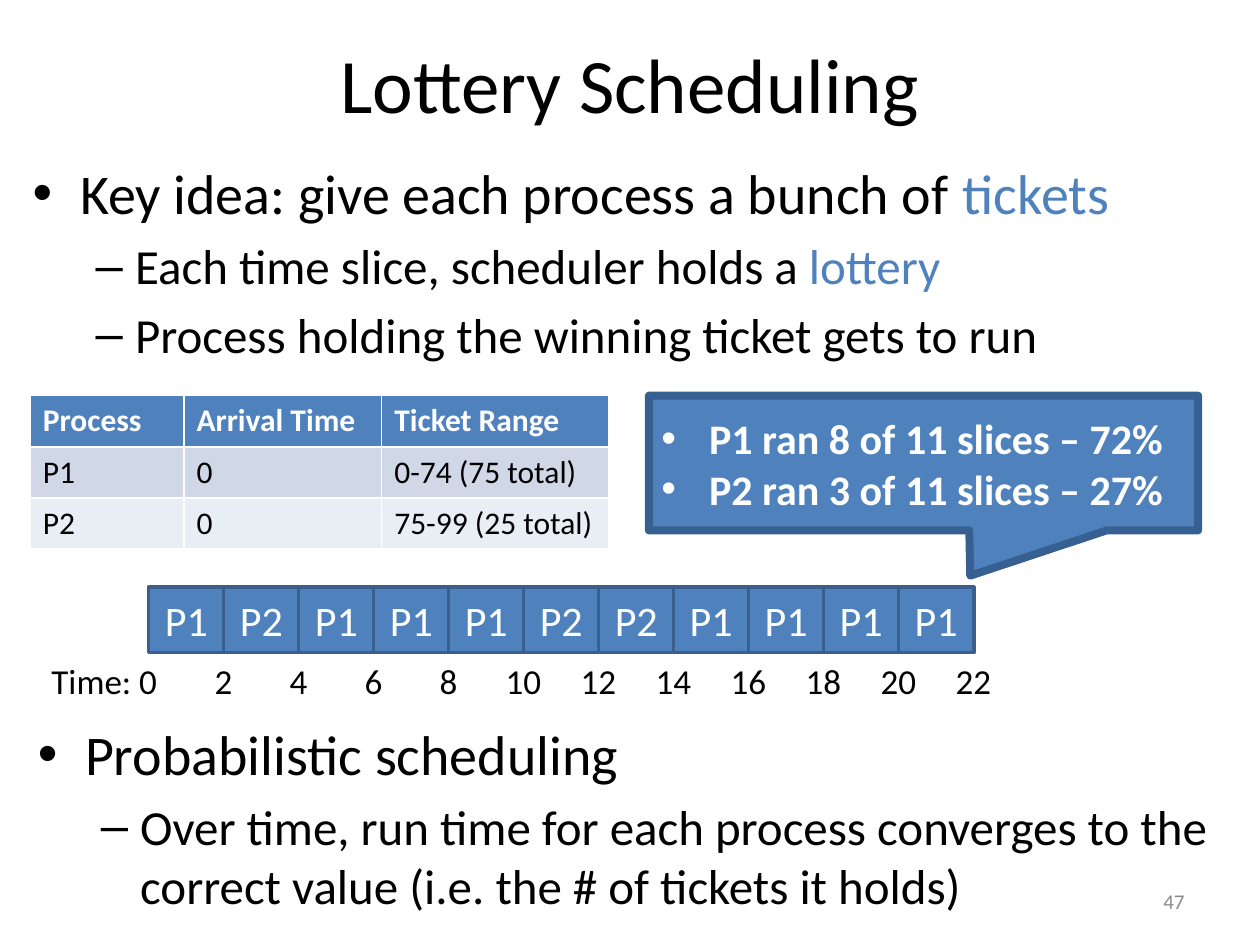
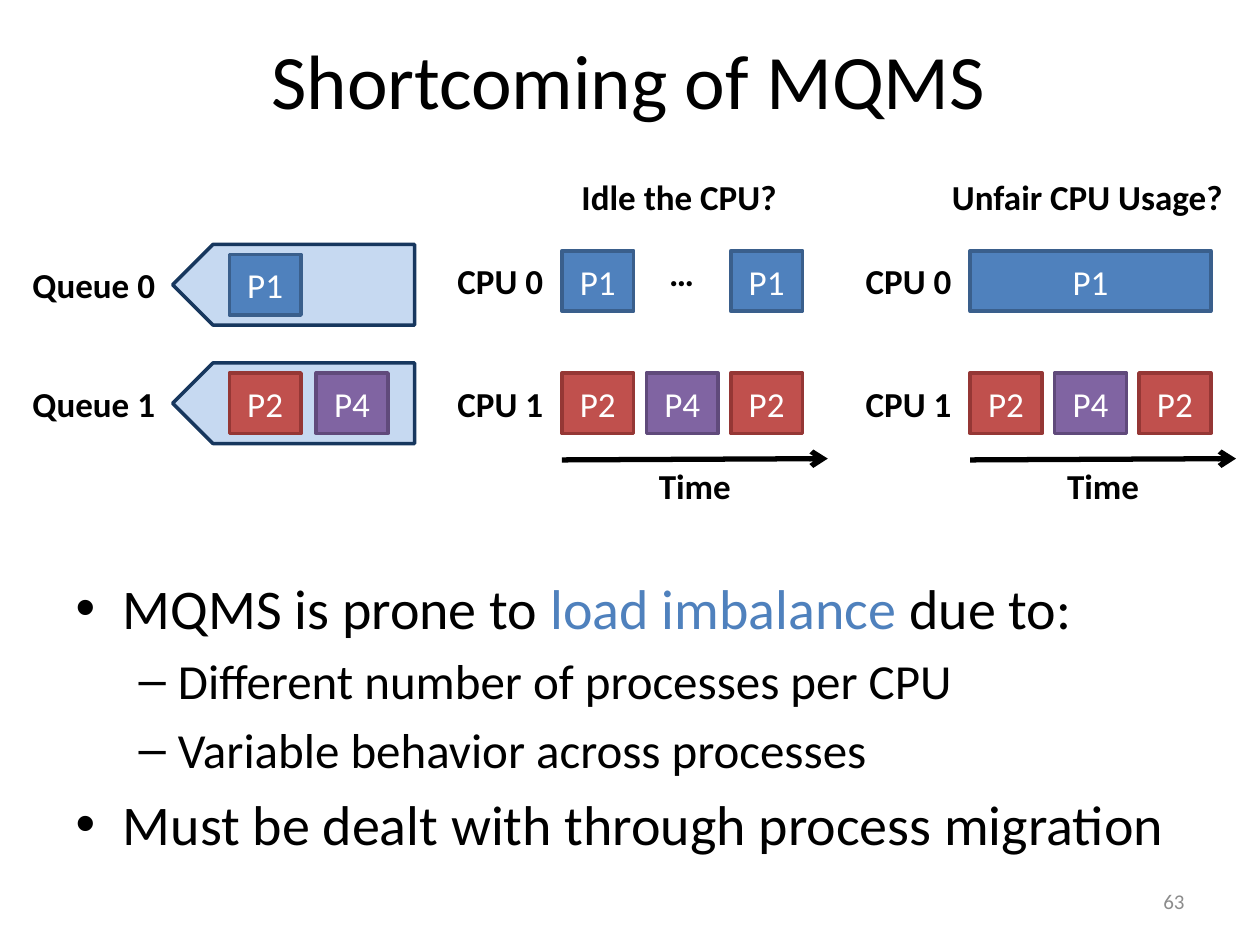
from lxml.etree import SubElement as Sub
from pptx import Presentation
from pptx.dml.color import RGBColor
from pptx.enum.shapes import MSO_CONNECTOR as Link, MSO_SHAPE as Shape
from pptx.enum.text import MSO_ANCHOR as Anchor, MSO_AUTO_SIZE as Fit, PP_ALIGN as Align
from pptx.oxml.ns import qn
from pptx.util import Inches, Pt

FONT = "Calibri"
BLACK = RGBColor(0x00, 0x00, 0x00)
WHITE = RGBColor(0xFF, 0xFF, 0xFF)
GREY = RGBColor(0x8C, 0x8C, 0x8C)
BLUE = RGBColor(0x4F, 0x81, 0xBD)
NAVY = RGBColor(0x3A, 0x5F, 0x8C)
STEEL = RGBColor(0x37, 0x60, 0x92)
RED = RGBColor(0xC0, 0x50, 0x4D)
WINE = RGBColor(0x95, 0x37, 0x35)
PURPLE = RGBColor(0x80, 0x64, 0xA2)
PLUM = RGBColor(0x60, 0x4A, 0x7B)
PALE = RGBColor(0xC6, 0xD9, 0xF1)
INK = RGBColor(0x17, 0x37, 0x5E)
BANDS = [BLUE, RGBColor(0xD0, 0xD8, 0xE8), RGBColor(0xE9, 0xED, 0xF4)]
TINTS = {"P1": (BLUE, NAVY), "P2": (RED, WINE), "P4": (PURPLE, PLUM)}


def inch(*sizes):
    """Turn plain numbers into lengths."""
    return [Inches(size) for size in sizes]


def style(para, size, color=BLACK, bold=False, align=None):
    """Set the font and alignment of a paragraph."""
    font = para.font
    font.name, font.size, font.bold = FONT, Pt(size), bold
    font.color.rgb = color
    if align is not None:
        para.alignment = align


def place(shape, box):
    """Move a shape into a box."""
    shape.left, shape.top, shape.width, shape.height = inch(*box)


def label(slide, box, text, size=20, color=BLACK, bold=True, align=Align.CENTER):
    """Write one line of text that does not wrap."""
    frame = slide.shapes.add_textbox(*inch(*box)).text_frame
    frame.word_wrap = False
    frame.vertical_anchor = Anchor.MIDDLE
    frame.text = text
    style(frame.paragraphs[0], size, color, bold, align)


def block(slide, kind, box, fill, line, width=2):
    """Draw a filled shape with an outline."""
    shape = slide.shapes.add_shape(kind, *inch(*box))
    shape.shadow.inherit = False
    shape.fill.solid()
    shape.fill.fore_color.rgb = fill
    shape.line.color.rgb = line
    shape.line.width = Pt(width)
    return shape


def job(slide, box, name, tint, size=20):
    """Draw a rectangle that holds the name of a process."""
    frame = block(slide, Shape.RECTANGLE, box, *tint).text_frame
    frame.margin_left = frame.margin_right = 0
    frame.vertical_anchor = Anchor.MIDDLE
    frame.text = name
    style(frame.paragraphs[0], size, WHITE, align=Align.CENTER)


def bullets(body, box, items):
    """Fill a body placeholder with levelled items, where *stars* mark blue words."""
    place(body, box)
    frame = body.text_frame
    frame.auto_size = Fit.NONE
    for i, (level, text) in enumerate(items):
        para = frame.add_paragraph() if i else frame.paragraphs[0]
        para.level = level
        if i == 0:
            para.space_before = Pt(0)
        style(para, 28 if level else 32)
        for j, part in enumerate(text.split("*")):
            if part:
                run = para.add_run()
                run.text = part
                if j % 2:
                    run.font.color.rgb = BLUE


def start(deck, layout, title, box, number):
    """Add a slide with its title and page number."""
    slide = deck.slides.add_slide(deck.slide_layouts[layout])
    head = slide.shapes.title
    place(head, box)
    head.text_frame.text = title
    style(head.text_frame.paragraphs[0], 44, align=Align.CENTER)
    label(slide, (7.17, 6.95, 2.33, 0.4), number, 12, GREY, False, Align.RIGHT)
    return slide


def tickets(slide, box):
    """Add the table of ticket ranges."""
    rows = [("Process", "Arrival Time", "Ticket Range"),
            ("P1", "0", "0-74 (75 total)"),
            ("P2", "0", "75-99 (25 total)")]
    table = slide.shapes.add_table(3, 3, *inch(*box)).table
    for col, width in zip(table.columns, inch(1.22, 1.57, 1.8)):
        col.width = width
    for r, row in enumerate(rows):
        for c, text in enumerate(row):
            cell = table.cell(r, c)
            cell.text = text
            cell.fill.solid()
            cell.fill.fore_color.rgb = BANDS[r]
            style(cell.text_frame.paragraphs[0], 18, BLACK if r else WHITE, r == 0)


def callout(slide, box, lines):
    """Add the bubble with the shares of run time."""
    bubble = block(slide, Shape.RECTANGULAR_CALLOUT, box, BLUE, STEEL, 4.5)
    bubble.adjustments[0], bubble.adjustments[1] = 0.085, 0.836
    frame = bubble.text_frame
    frame.vertical_anchor = Anchor.MIDDLE
    for i, line in enumerate(lines):
        para = frame.add_paragraph() if i else frame.paragraphs[0]
        para.text = line
        props = para._p.get_or_add_pPr()
        props.set("marL", str(Inches(0.38)))
        props.set("indent", str(Inches(-0.38)))
        Sub(props, qn("a:buFont")).set("typeface", "Arial")
        Sub(props, qn("a:buChar")).set("char", "•")
        style(para, 24, WHITE, True, Align.LEFT)


def slices(slide, left, top, names):
    """Draw the time slices in a row with their ticks below."""
    step, low = 0.595, top + 0.52
    for i, name in enumerate(names):
        job(slide, (left + i * step, top, 0.6, 0.52), name, (BLUE, NAVY), 24)
        mid = left + (i + 1) * step
        label(slide, (mid - 0.25, low, 0.5, 0.44), str(2 * i + 2), bold=False)
    label(slide, (left - 0.87, low, 1.05, 0.44), "Time: 0", bold=False, align=Align.LEFT)


def queue(slide, left, top, text, names):
    """Draw a labelled queue with its waiting processes."""
    label(slide, (left, top + 0.1, 1.19, 0.44), text, align=Align.RIGHT)
    plate = block(slide, Shape.PENTAGON, (left + 1.23, top, 1.92, 0.64), PALE, INK)
    plate.rotation = 180
    for i, name in enumerate(names):
        job(slide, (left + 1.68 + i * 0.69, top + 0.08, 0.57, 0.48), name, TINTS[name])


def arrow(slide, left, top, right, low):
    """Draw a thick line that ends in an open arrowhead."""
    line = slide.shapes.add_connector(Link.STRAIGHT, *inch(left, top, right, low))
    line.line.color.rgb = BLACK
    line.line.width = Pt(3)
    props = line._element.spPr
    Sub(props.find(qn("a:ln")), qn("a:tailEnd")).set("type", "arrow")
    Sub(props, qn("a:effectLst"))


def panel(slide, left, top, title, first):
    """Draw the run of two CPUs, where first lists name, column and span on CPU 0."""
    step, start_x = 0.67, left + 0.94
    label(slide, (left + 0.67, top, 2.4, 0.44), title)
    rows = [first, [("P2", 0, 1), ("P4", 1, 1), ("P2", 2, 1)]]
    for i, row in enumerate(rows):
        high = top + 0.65 + i * 0.97
        label(slide, (left, high + 0.02, 0.89, 0.44), f"CPU {i}", align=Align.RIGHT)
        for name, col, span in row:
            x = start_x + col * step
            if name in TINTS:
                wide = 0.57 + (span - 1) * step
                job(slide, (x, high, wide, 0.48), name, TINTS[name])
            else:
                label(slide, (x + 0.08, high - 0.05, 0.4, 0.44), name)
    arrow(slide, start_x, top + 2.31, start_x + 2.11, top + 2.3)
    label(slide, (start_x + step, top + 2.29, 0.78, 0.44), "Time", align=Align.LEFT)


def lottery(deck):
    """Build the slide on lottery scheduling."""
    slide = start(deck, 3, "Lottery Scheduling", (0.5, 0.03, 9, 1.25), "47")
    bullets(slide.placeholders[1], (0.16, 1.21, 9.63, 2.02), [
        (0, "Key idea: give each process a bunch of *tickets*"),
        (1, "Each time slice, scheduler holds a *lottery*"),
        (1, "Process holding the winning ticket gets to run")])
    bullets(slide.placeholders[2], (0.2, 5.66, 9.63, 1.84), [
        (0, "Probabilistic scheduling"),
        (1, "Over time, run time for each process converges to the "
            "correct value (i.e. the # of tickets it holds)")])
    tickets(slide, (0.24, 3.14, 4.6, 1.22))
    slices(slide, 1.18, 4.66, "P1 P2 P1 P1 P1 P2 P2 P1 P1 P1 P1".split())
    callout(slide, (5.15, 3.14, 4.36, 1.07),
            ["P1 ran 8 of 11 slices – 72%", "P2 ran 3 of 11 slices – 27%"])


def balance(deck):
    """Build the slide on the shortcoming of many queues."""
    slide = start(deck, 1, "Shortcoming of MQMS", (0.49, 0, 9, 1.25), "63")
    bullets(slide.placeholders[1], (0.5, 4.5, 9, 2.64), [
        (0, "MQMS is prone to *load imbalance* due to:"),
        (1, "Different number of processes per CPU"),
        (1, "Variable behavior across processes"),
        (0, "Must be dealt with through process migration")])
    queue(slide, 0.14, 1.94, "Queue 0", ["P1"])
    queue(slide, 0.14, 2.88, "Queue 1", ["P2", "P4"])
    panel(slide, 3.52, 1.34, "Idle the CPU?", [("P1", 0, 1), ("…", 1, 1), ("P1", 2, 1)])
    panel(slide, 6.76, 1.34, "Unfair CPU Usage?", [("P1", 0, 3)])


def main():
    """Build and save the deck."""
    deck = Presentation()
    deck.slide_width, deck.slide_height = inch(10, 7.5)
    lottery(deck)
    balance(deck)
    deck.save("out.pptx")


if __name__ == "__main__":
    main()
